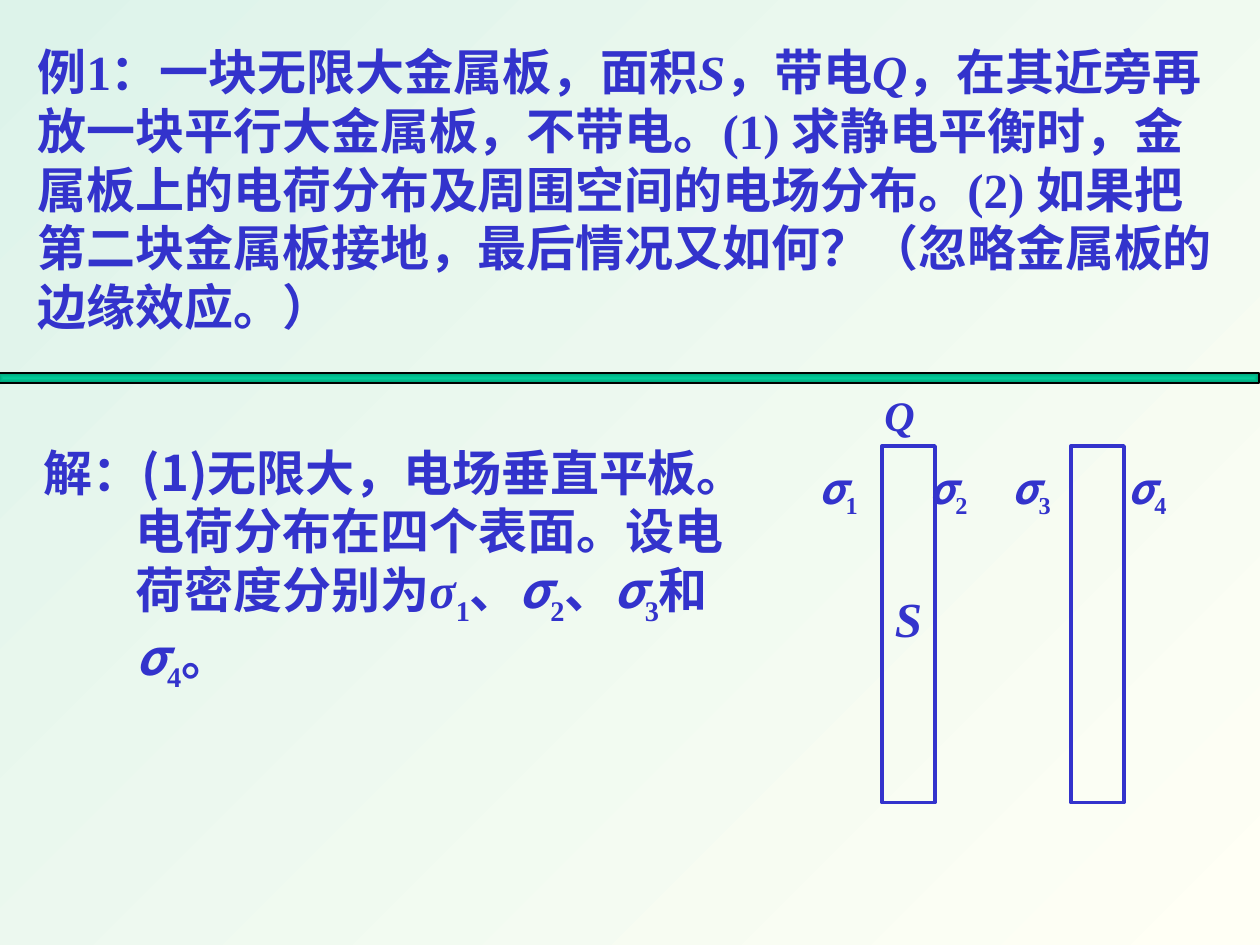
from lxml import etree
from pptx import Presentation
from pptx.dml.color import RGBColor
from pptx.enum.shapes import MSO_SHAPE
from pptx.enum.text import MSO_AUTO_SIZE, PP_ALIGN
from pptx.oxml.ns import qn
from pptx.util import Inches, Pt

SERIF = "Times New Roman"
SANS = "Noto Sans CJK SC"
BLUE = "3333CC"
PLATE_WIDTH, PLATE_HEIGHT = 0.42, 2.83


def color(value):
    return RGBColor.from_string(value)


def place(box):
    return [Inches(length) for length in box]


def set_gradient(fill, *stops):
    fill.gradient()
    for stop, value in zip(fill.gradient_stops, stops):
        stop.color.rgb = color(value)


def add_span(para, text, size, font=SERIF, italic=False, sub=False):
    span = para.add_run()
    span.text = text
    span.font.size = Pt(size)
    span.font.name = font
    span.font.bold = True
    span.font.italic = italic
    span.font.color.rgb = color(BLUE)
    properties = span.font._element
    etree.SubElement(properties, qn("a:ea")).set("typeface", SANS)
    if sub:
        properties.set("baseline", "-25000")


def add_text(shapes, box, wrap=True):
    """Add an empty text box and return its first paragraph."""
    frame = shapes.add_textbox(*place(box)).text_frame
    frame.word_wrap = wrap
    frame.auto_size = MSO_AUTO_SIZE.SHAPE_TO_FIT_TEXT
    return frame.paragraphs[0]


def add_sigma(para, index, size, font=SANS):
    add_span(para, "σ", size, font, italic=True)
    add_span(para, str(index), size, sub=True)


def add_rectangle(shapes, box, line, width):
    shape = shapes.add_shape(MSO_SHAPE.RECTANGLE, *place(box))
    shape.shadow.inherit = False
    shape.line.color.rgb = color(line)
    shape.line.width = Pt(width)
    return shape


def add_plate(shapes, left, top):
    plate = add_rectangle(shapes, (left, top, PLATE_WIDTH, PLATE_HEIGHT), BLUE, 2.25)
    plate.fill.background()


def add_problem(shapes, box):
    para = add_text(shapes, box)
    add_span(para, "例1：一块无限大金属板，面积", 28)
    add_span(para, "S", 28, italic=True)
    add_span(para, "，带电", 28)
    add_span(para, "Q", 28, italic=True)
    add_span(para, "，在其近旁再放一块平行大金属板，不带电。(1) 求静电平衡时，"
                   "金属板上的电荷分布及周围空间的电场分布。(2) 如果把第二块金属板接地，"
                   "最后情况又如何？（忽略金属板的边缘效应。）", 28)


def add_solution(shapes, box):
    para = add_text(shapes, box)
    indent = Inches(0.73)
    properties = para._p.get_or_add_pPr()
    properties.set("marL", str(indent))
    properties.set("indent", str(-indent))
    add_span(para, "解：(1)无限大，电场垂直平板。电荷分布在四个表面。设电荷密度分别为", 28, SANS)
    for index, after in enumerate("、、和。", start=1):
        add_sigma(para, index, 28, SERIF if index == 1 else SANS)
        add_span(para, after, 28, SANS)


def add_divider(shapes, box):
    bar = add_rectangle(shapes, box, "000000", 1)
    set_gradient(bar.fill, "00CC99", "00A179")
    gradient = bar._element.spPr.find(qn("a:gradFill"))
    gradient.remove(gradient.find(qn("a:lin")))
    center = etree.SubElement(gradient, qn("a:path"))
    center.set("path", "shape")
    target = etree.SubElement(center, qn("a:fillToRect"))
    for side in "ltrb":
        target.set(side, "50000")


def add_surface_labels(shapes, top):
    labels = shapes.add_group_shape().shapes
    places = [(6.4, 0.77), (7.27, 0.65), (7.93, 0.65), (8.85, 0.65)]
    for index, (left, width) in enumerate(places, start=1):
        add_sigma(add_text(labels, (left, top, width, 0.5)), index, 24)


def add_charged_plate(shapes, left, top):
    parts = shapes.add_group_shape().shapes
    add_plate(parts, left, top)
    charge = add_text(parts, (left - 0.08, top - 0.5, 0.44, 0.5), wrap=False)
    add_span(charge, "Q", 24, italic=True)
    area = add_text(parts, (left, top + 1.08, PLATE_WIDTH, 0.57))
    area.alignment = PP_ALIGN.CENTER
    add_span(area, "S", 28, italic=True)


def main():
    deck = Presentation()
    deck.slide_width, deck.slide_height = Inches(10), Inches(7.5)
    page = deck.slides.add_slide(deck.slide_layouts[6])
    backdrop = page.background.fill
    set_gradient(backdrop, "DDF3EA", "FFFFF5")
    backdrop.gradient_angle = 315

    shapes = page.shapes
    plate_top = 3.54
    add_problem(shapes, (0.2, 0.28, 9.58, 2.44))
    add_plate(shapes, 8.5, plate_top)
    add_surface_labels(shapes, plate_top + 0.08)
    add_solution(shapes, (0.25, 3.46, 5.67, 1.97))
    add_divider(shapes, (-0.01, 2.96, 10, 0.08))
    add_charged_plate(shapes, 7, plate_top)
    deck.save("out.pptx")


if __name__ == "__main__":
    main()
